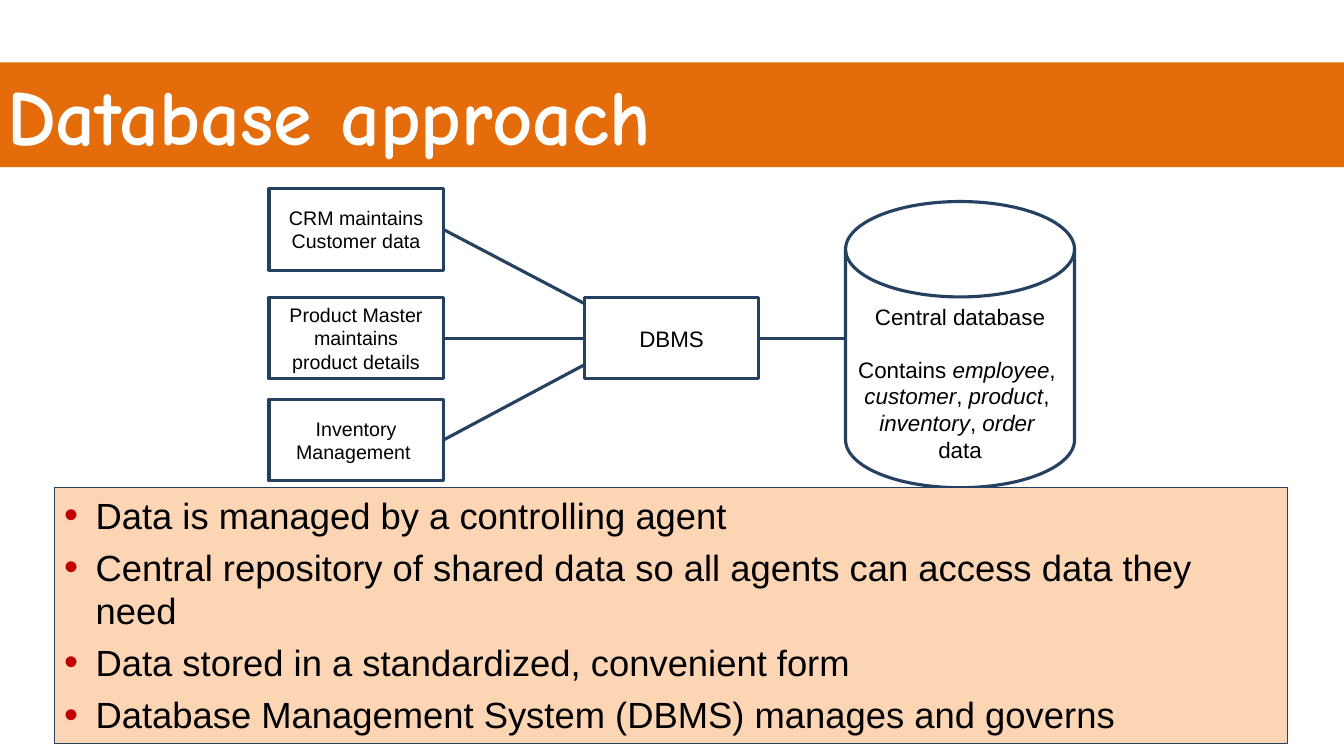
from dataclasses import dataclass

from lxml import etree
from pptx import Presentation
from pptx.dml.color import RGBColor
from pptx.enum import shapes, text
from pptx.oxml import ns
from pptx.util import Cm, Pt

NAVY, ORANGE, PEACH, RED = "254061", "E46C0A", "FCD5B5", "C00000"
BLACK, WHITE = "000000", "FFFFFF"
SLIDE_W = 33.87
BOX_W, BOX_H = 4.39, 2.06
APP_X, DBMS_X, DBMS_Y = 6.78, 14.73, 7.49
DISK_X = 21.31


@dataclass
class App:
    label: str
    top: float
    dbms_y: float  # where its line meets the DBMS box


APPS = [
    App("CRM maintains Customer data", 4.75, 7.65),
    App("Product Master maintains product details", DBMS_Y, DBMS_Y + BOX_H / 2),
    App("Inventory Management ", 10.06, 9.19),
]
# Each line is a list of (text, italic) runs
DISK_LINES = [
    [("Central database", False)],
    [("Contains ", False), ("employee", True), (", ", False)],
    [("customer", True), (", ", False), ("product", True), (", ", False)],
    [("inventory", True), (", ", False), ("order ", True)],
    [("data", False)],
]
BULLETS = [
    "Data is managed by a controlling agent",
    "Central repository of shared data so all agents can access data they need",
    "Data stored in a standardized, convenient form",
    "Database Management System (DBMS) manages and governs",
]


def rgb(value: str) -> RGBColor:
    return RGBColor.from_string(value)


def add_run(p, content: str, size: float, color: str = BLACK,
            font: str = "Arial", bold: bool = False, italic: bool = False):
    r = p.add_run()
    r.text = content
    r.font.name, r.font.size = font, Pt(size)
    r.font.bold, r.font.italic = bold, italic
    r.font.color.rgb = rgb(color)


def add_outlined(s, kind, x: float, y: float, w: float, h: float, line_pt: float = 2.25):
    """Add an unfilled navy-outlined shape with middle-anchored text."""
    sp = s.shapes.add_shape(kind, Cm(x), Cm(y), Cm(w), Cm(h))
    sp.shadow.inherit = False
    sp.fill.background()
    sp.line.color.rgb = rgb(NAVY)
    sp.line.width = Pt(line_pt)
    sp.text_frame.word_wrap = True
    sp.text_frame.vertical_anchor = text.MSO_ANCHOR.MIDDLE
    return sp


def add_box(s, label: str, x: float, y: float, size: float):
    sp = add_outlined(s, shapes.MSO_SHAPE.RECTANGLE, x, y, BOX_W, BOX_H)
    p = sp.text_frame.paragraphs[0]
    p.alignment = text.PP_ALIGN.CENTER
    add_run(p, label, size)


def add_line(s, x1: float, y1: float, x2: float, y2: float):
    line = s.shapes.add_connector(shapes.MSO_CONNECTOR.STRAIGHT,
                                  Cm(x1), Cm(y1), Cm(x2), Cm(y2))
    line.line.color.rgb = rgb(NAVY)
    line.line.width = Pt(2.25)
    etree.SubElement(line._element.spPr, ns.qn("a:effectLst"))


def next_paragraph(tf, index: int):
    return tf.paragraphs[0] if index == 0 else tf.add_paragraph()


def add_title(s):
    sp = s.shapes.title
    sp.left, sp.top, sp.width, sp.height = Cm(0), Cm(1.57), Cm(SLIDE_W), Cm(2.64)
    sp.fill.solid()
    sp.fill.fore_color.rgb = rgb(ORANGE)
    tf = sp.text_frame
    tf.auto_size = text.MSO_AUTO_SIZE.NONE
    tf.vertical_anchor = text.MSO_ANCHOR.TOP
    tf.margin_left = Cm(0.18)
    p = tf.paragraphs[0]
    p.alignment = text.PP_ALIGN.LEFT
    add_run(p, "Database approach", 56, WHITE, "Comic Neue", bold=True)


def add_disk(s):
    sp = add_outlined(s, shapes.MSO_SHAPE.FLOWCHART_MAGNETIC_DISK, DISK_X, 5.08, 5.77, 7.21)
    tf = sp.text_frame
    tf.word_wrap = False
    tf.margin_top = Cm(0.86)
    for i, runs in enumerate(DISK_LINES):
        p = next_paragraph(tf, i)
        p.alignment = text.PP_ALIGN.CENTER
        if i == 1:
            p.space_before = Pt(18.5)
        for content, italic in runs:
            add_run(p, content, 16, italic=italic)


def add_bullet(p):
    pPr = p._p.get_or_add_pPr()
    pPr.set("marL", str(Cm(0.79)))
    pPr.set("indent", str(-Cm(0.79)))
    color = etree.SubElement(pPr, ns.qn("a:buClr"))
    etree.SubElement(color, ns.qn("a:srgbClr"), val=RED)
    etree.SubElement(pPr, ns.qn("a:buSzPct"), val="110000")
    etree.SubElement(pPr, ns.qn("a:buFont"), typeface="Arial")
    etree.SubElement(pPr, ns.qn("a:buChar"), char="•")


def add_summary(s):
    sp = add_outlined(s, shapes.MSO_SHAPE.RECTANGLE, 1.37, 12.29, 31.09, 6.45, 0.75)
    sp.fill.solid()
    sp.fill.fore_color.rgb = rgb(PEACH)
    tf = sp.text_frame
    tf.vertical_anchor = text.MSO_ANCHOR.TOP
    for i, content in enumerate(BULLETS):
        p = next_paragraph(tf, i)
        add_bullet(p)
        p.alignment = text.PP_ALIGN.LEFT
        p.space_before = Pt(3 if i else 0)
        p.space_after = Pt(3)
        add_run(p, content, 26)


def main():
    prs = Presentation()
    prs.slide_width, prs.slide_height = Cm(SLIDE_W), Cm(19.05)
    s = prs.slides.add_slide(prs.slide_layouts[5])
    add_title(s)
    for app in APPS:
        add_box(s, app.label, APP_X, app.top, 14)
        add_line(s, APP_X + BOX_W, app.top + BOX_H / 2, DBMS_X, app.dbms_y)
    add_box(s, "DBMS", DBMS_X, DBMS_Y, 16)
    add_disk(s)
    add_line(s, DBMS_X + BOX_W, DBMS_Y + BOX_H / 2, DISK_X, DBMS_Y + BOX_H / 2)
    add_summary(s)
    prs.save("out.pptx")


if __name__ == "__main__":
    main()
